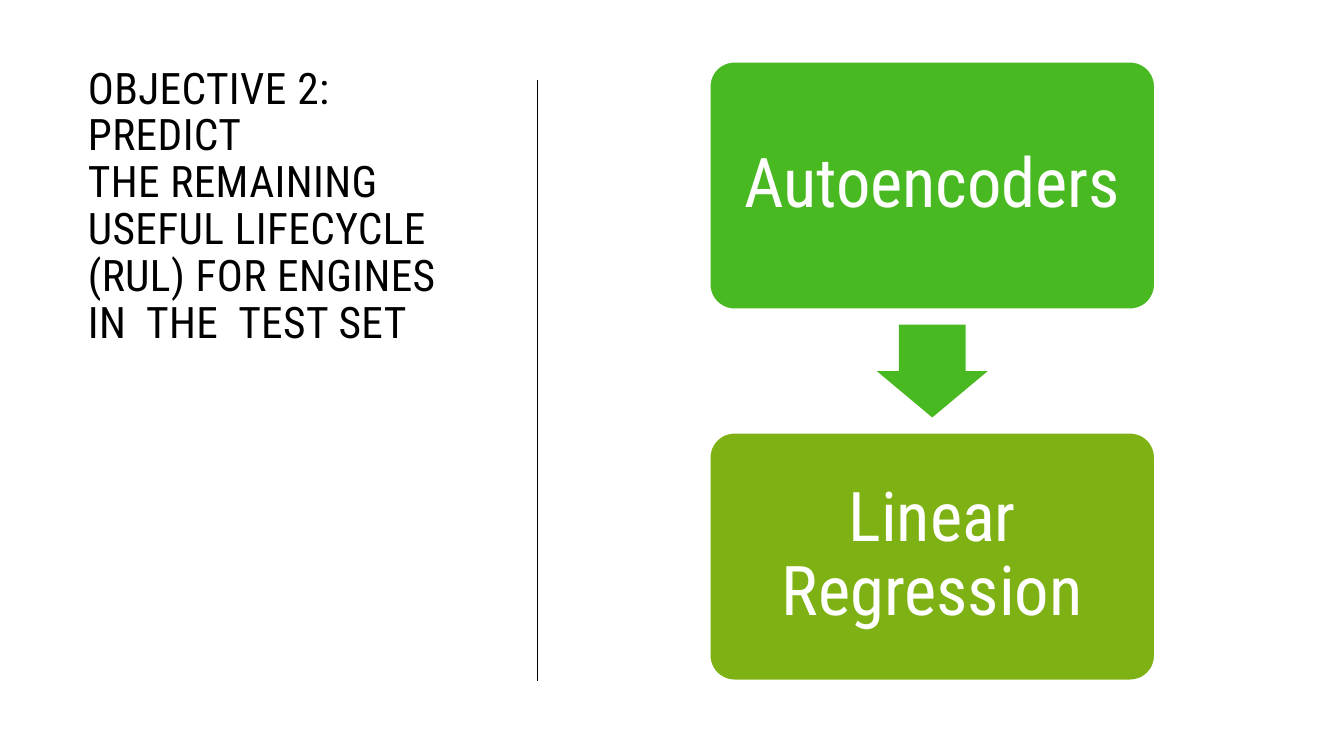
from lxml.etree import SubElement
from pptx import Presentation
from pptx.dml.color import RGBColor
from pptx.enum.shapes import MSO_CONNECTOR, MSO_SHAPE
from pptx.enum.text import MSO_ANCHOR, MSO_AUTO_SIZE, PP_ALIGN
from pptx.oxml.ns import qn
from pptx.util import Cm, Pt

BLACK = RGBColor(0x00, 0x00, 0x00)
WHITE = RGBColor(0xFF, 0xFF, 0xFF)
GREEN = RGBColor(0x49, 0xB9, 0x21)
OLIVE = RGBColor(0x7E, 0xB1, 0x13)


def apply(target, values):
    for name, value in values.items():
        setattr(target, name, value)


class Board:
    font = "Roboto Condensed"

    def __init__(self, deck):
        self.slide = deck.slides.add_slide(deck.slide_layouts[5])

    def label(self, shape, text, size, color, align, frame, before=0):
        body = shape.text_frame
        apply(body, {"text": text, "word_wrap": True,
                     "auto_size": MSO_AUTO_SIZE.NONE, **frame})
        para = body.paragraphs[0]
        apply(para, {"alignment": align, "line_spacing": 0.9,
                     "space_before": Pt(before)})
        for run in para.runs:
            apply(run.font, {"name": self.font, "size": Pt(size)})
            run.font.color.rgb = color
        return para

    def title(self, text, left, top, width, height):
        shape = self.slide.shapes.title
        apply(shape, {"left": Cm(left), "top": Cm(top),
                      "width": Cm(width), "height": Cm(height)})
        para = self.label(shape, text, 31, BLACK, PP_ALIGN.LEFT,
                          {"vertical_anchor": MSO_ANCHOR.TOP}, 10)
        for run in para.runs:
            run.font._element.set("spc", "30")

    def rule(self, left, start, end):
        line = self.slide.shapes.add_connector(
            MSO_CONNECTOR.STRAIGHT, Cm(left), Cm(start), Cm(left), Cm(end))
        line.line.color.rgb = BLACK
        line.line.width = Pt(1)
        SubElement(line._element.spPr, qn("a:effectLst"))

    def shape(self, kind, left, top, width, height, fill, adjust):
        shape = self.slide.shapes.add_shape(
            kind, Cm(left), Cm(top), Cm(width), Cm(height))
        shape.shadow.inherit = False
        shape.fill.solid()
        shape.fill.fore_color.rgb = fill
        for index, value in enumerate(adjust):
            shape.adjustments[index] = value
        return shape

    def box(self, text, left, top, width, height, fill):
        box = self.shape(MSO_SHAPE.ROUNDED_RECTANGLE,
                         left, top, width, height, fill, [0.1])
        box.line.color.rgb = WHITE
        box.line.width = Pt(1.5)
        frame = {f"margin_{side}": Cm(0.5)
                 for side in ("left", "top", "right", "bottom")}
        frame["vertical_anchor"] = MSO_ANCHOR.MIDDLE
        self.label(box, text, 49, WHITE, PP_ALIGN.CENTER, frame)

    def arrow(self, left, top, width, height, fill):
        arrow = self.shape(MSO_SHAPE.DOWN_ARROW,
                           left, top, width, height, fill, [0.6, 0.5])
        arrow.line.fill.background()


def main():
    deck = Presentation()
    apply(deck, {"slide_width": Cm(33.87), "slide_height": Cm(19.05)})
    board = Board(deck)
    board.title("OBJECTIVE 2: PREDICT \vTHE REMAINING USEFUL LIFECYCLE (RUL) "
                "FOR ENGINES IN  THE  TEST SET", 1.96, 1.55, 10.34, 7.37)
    board.rule(13.54, 17.15, 2.01)

    left, top, width, height, gap = 17.88, 1.55, 11.23, 6.25, 3.1
    wide, high = 2.8, 2.34
    steps = [("Autoencoders", GREEN), ("Linear Regression", OLIVE)]
    for index, (text, fill) in enumerate(steps):
        board.box(text, left, top + index * (height + gap),
                  width, height, fill)
    board.arrow(left + (width - wide) / 2, top + height + (gap - high) / 2,
                wide, high, GREEN)
    deck.save("out.pptx")


if __name__ == "__main__":
    main()
